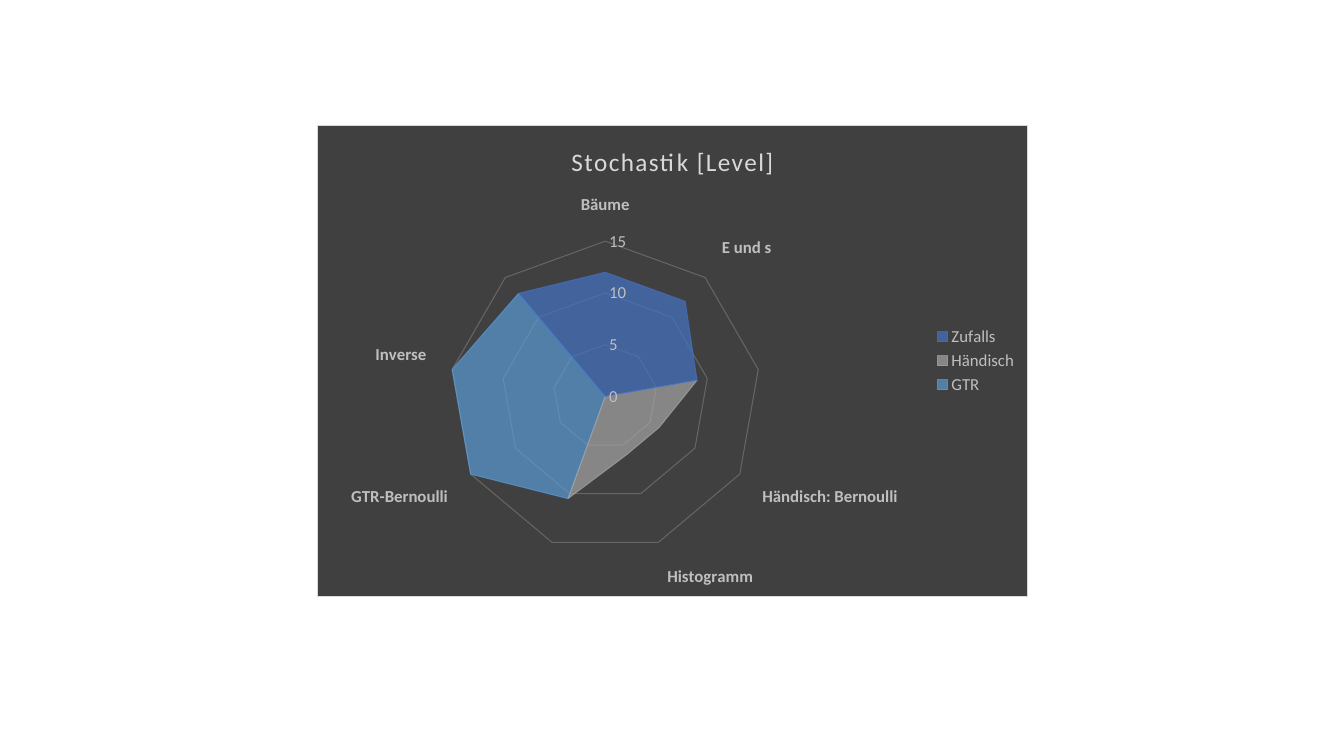
from lxml import etree
from pptx import Presentation, util as u
from pptx.chart.data import CategoryChartData
from pptx.dml.color import RGBColor
from pptx.enum import chart as ch
from pptx.oxml import parse_xml
from pptx.oxml.ns import nsdecls, qn

COLORS = {
    "panel": "404040", "border": "D9D9D9", "title": "D9D9D9", "label": "BFBFBF",
    "grid": "FFFFFF", "Zufalls": "4472C4", "Händisch": "A5A5A5", "GTR": "5B9BD5",
}
CATEGORIES = ["Bäume", "E und s", "", "Händisch: Bernoulli", "Histogramm", "",
              "GTR-Bernoulli", "Inverse", ""]
LEVELS = {
    "Zufalls": [12, 12, 9, None, None, None, None, None, 13],
    "Händisch": [None, None, 9, 6, 6, 10.5, None, None, None],
    "GTR": [None, None, None, None, None, 10.5, 15, 15, 13],
}


def style_font(font, size=12, color="label", bold=False):
    font.name = "Calibri"
    font.size = u.Pt(size)
    font.bold = bold
    font.color.rgb = RGBColor.from_string(COLORS[color])


def set_title(chart, text, spacing=0, **fmt):
    tf = chart.chart_title.text_frame
    r = tf.paragraphs[0].add_run()
    r.text = text
    style_font(r.font, **fmt)
    r.font._element.set("spc", str(spacing))
    chart.chart_title.include_in_layout = False


def set_opacity(element, percent):
    for clr in element.iter(qn("a:srgbClr")):
        etree.SubElement(clr, qn("a:alpha")).set("val", str(percent * 1000))


class RadarSlide:
    def __init__(self, prs, colors):
        self.s = prs.slides.add_slide(prs.slide_layouts[6])
        self.colors = colors

    def rgb(self, name):
        return RGBColor.from_string(self.colors[name])

    def line(self, line, color):
        line.color.rgb = self.rgb(color)
        line.width = u.Pt(0.75)

    def radar(self, x, y, w, h, categories, levels):
        data = CategoryChartData()
        data.categories = categories
        for name, values in levels.items():
            data.add_series(name, values)
        box = [u.Inches(v) for v in (x, y, w, h)]
        chart = self.s.shapes.add_chart(ch.XL_CHART_TYPE.RADAR_FILLED, *box, data).chart
        style_font(chart.font)
        for ser in chart.plots[0].series:
            ser.format.fill.solid()
            ser.format.fill.fore_color.rgb = self.rgb(ser.name)
            self.line(ser.format.line, ser.name)
            set_opacity(ser._element, 70)
        chart._chartSpace.chart.find(qn("c:dispBlanksAs")).set("val", "zero")
        return chart

    def axis(self, axis, bold=False):
        axis.major_tick_mark = axis.minor_tick_mark = ch.XL_TICK_MARK.NONE
        axis.format.line.fill.background()
        style_font(axis.tick_labels.font, bold=bold)
        axis.has_major_gridlines = True
        self.line(axis.major_gridlines.format.line, "grid")
        set_opacity(axis._element.find(qn("c:majorGridlines")), 20)

    def legend(self, chart):
        chart.has_legend = True
        chart.legend.position = ch.XL_LEGEND_POSITION.RIGHT
        chart.legend.include_in_layout = False
        style_font(chart.legend.font)

    def panel(self, chart):
        chart._chartSpace.chart.addnext(parse_xml(
            f'<c:spPr {nsdecls("c", "a")}>'
            f'<a:solidFill><a:srgbClr val="{self.colors["panel"]}"/></a:solidFill>'
            f'<a:ln w="{u.Pt(0.75)}"><a:solidFill>'
            f'<a:srgbClr val="{self.colors["border"]}"/></a:solidFill></a:ln></c:spPr>'))


def main():
    prs = Presentation()
    prs.slide_width, prs.slide_height = u.Inches(13.33), u.Inches(7.5)
    slide = RadarSlide(prs, COLORS)
    chart = slide.radar(3.14, 1.24, 7.06, 4.68, CATEGORIES, LEVELS)
    set_title(chart, "Stochastik [Level]", spacing=100, size=18, color="title")
    slide.axis(chart.category_axis, bold=True)
    slide.axis(chart.value_axis)
    chart.value_axis.minimum_scale = 0
    chart.value_axis.maximum_scale = 15
    chart.value_axis.major_unit = 5
    slide.legend(chart)
    slide.panel(chart)
    prs.save("out.pptx")


if __name__ == "__main__":
    main()
